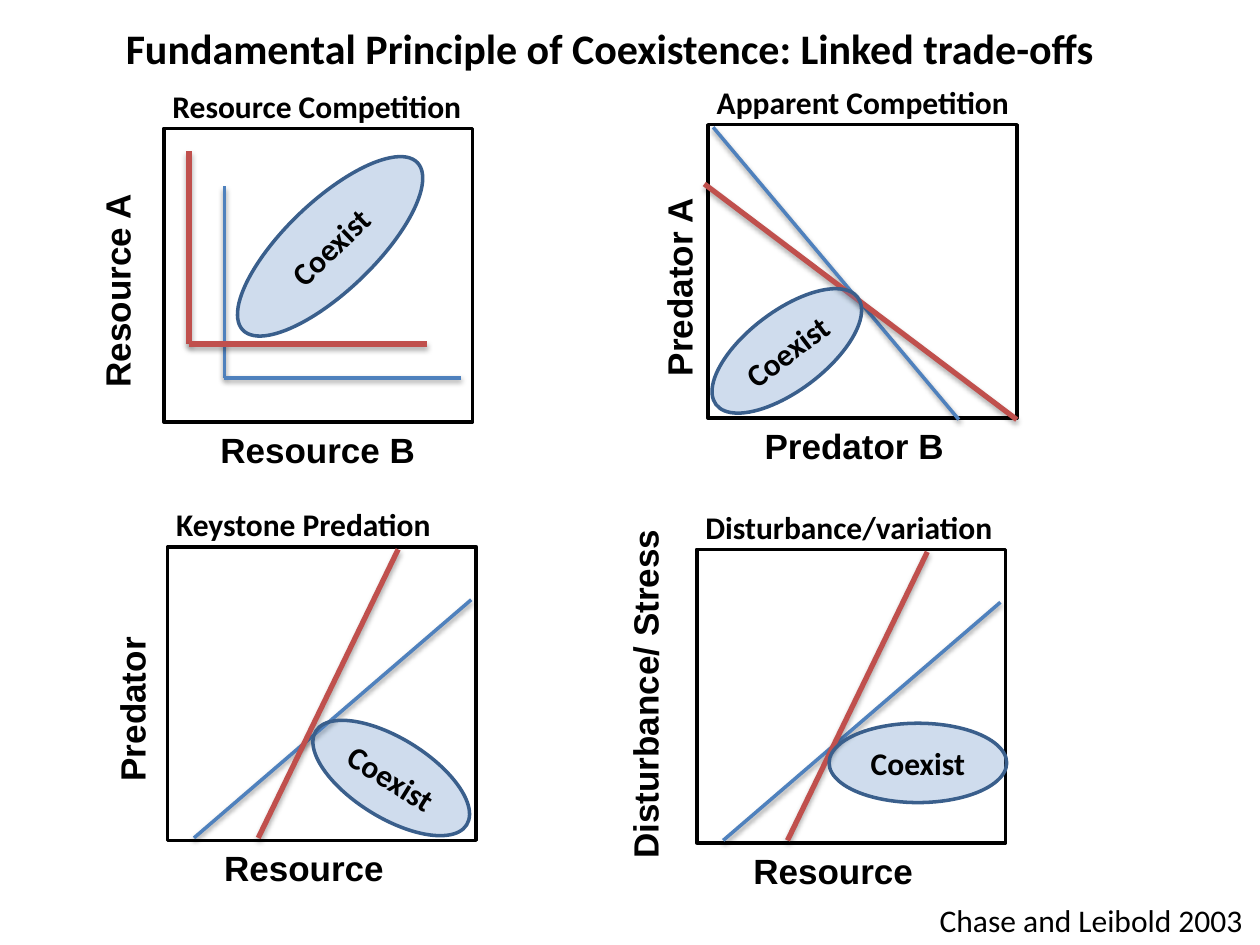
from dataclasses import dataclass

from lxml.etree import SubElement
from pptx import Presentation
from pptx.dml.color import RGBColor
from pptx.enum.shapes import MSO_CONNECTOR, MSO_SHAPE
from pptx.enum.text import MSO_ANCHOR, MSO_AUTO_SIZE, PP_ALIGN
from pptx.oxml.ns import qn
from pptx.util import Inches, Pt

COLORS = {"ink": "000000", "blue": "4F81BD", "red": "C0504D", "outline": "3A5F8C"}
LINE_WIDTH = {"blue": 2, "red": 3}
SHADOW_ALPHA = {"blue": 38000, "red": 35000}
SHADOW_DISTANCE = {"blue": 1.6, "red": 1.8}
FRAME_WIDTH, FRAME_HEIGHT = 2.45, 2.33


@dataclass(frozen=True)
class Isocline:
    color: str
    start: tuple[float, float]
    end: tuple[float, float]


@dataclass(frozen=True)
class Region:
    left: float
    top: float
    rotation: float = 0
    width: float = 1.41
    height: float = 0.63


@dataclass(frozen=True)
class Panel:
    left: float
    top: float
    title: str
    title_width: float
    x_label: str
    x_width: float
    y_label: str
    y_width: float
    y_center: tuple[float, float]
    isoclines: tuple[Isocline, ...]
    region: Region


RISING = (
    Isocline("blue", (2.41, 0.42), (0.21, 2.31)),
    Isocline("red", (0.72, 2.31), (1.83, 0.02)),
)
CROSSING = (
    Isocline("blue", (0.04, 0.02), (1.99, 2.34)),
    Isocline("red", (2.45, 2.34), (-0.03, 0.47)),
)
CORNERS = (
    Isocline("blue", (0.48, 0.46), (0.48, 1.98)),
    Isocline("blue", (2.36, 1.98), (0.48, 1.98)),
    Isocline("red", (0.2, 0.18), (0.2, 1.71)),
    Isocline("red", (2.09, 1.71), (0.2, 1.71)),
)
PANELS = (
    Panel(1.3, 1.02, "Resource Competition", 2.51, "Resource B", 1.75,
          "Resource A", 1.75, (-0.37, 1.28), CORNERS,
          Region(0.36, 0.58, 316.2, 1.92, 0.71)),
    Panel(5.62, 0.99, "Apparent Competition", 2.54, "Predator B", 1.64,
          "Predator A", 1.63, (-0.23, 1.28), CROSSING, Region(-0.08, 1.48, 322.9)),
    Panel(1.33, 4.34, "Keystone Predation", 2.24, "Resource", 1.48,
          "Predator", 1.36, (-0.28, 1.28), RISING, Region(1.07, 1.52, 31.8)),
    Panel(5.53, 4.36, "Disturbance/variation", 2.5, "Resource", 1.48,
          "Disturbance/ Stress", 2.83, (-0.41, 1.14), RISING, Region(1.05, 1.38)),
)


def rgb(name: str) -> RGBColor:
    """Return the named colour."""
    return RGBColor.from_string(COLORS[name])


def write(frame, text: str, *, size: int = 18, font: str = "Calibri",
          bold: bool = True, align=PP_ALIGN.LEFT) -> None:
    """Put formatted text into a text frame."""
    paragraph = frame.paragraphs[0]
    paragraph.alignment = align
    run = paragraph.add_run()
    run.text = text
    run.font.size, run.font.name, run.font.bold = Pt(size), font, bold
    run.font.color.rgb = rgb("ink")


def add_label(slide, text: str, left: float, top: float, width: float,
              height: float = 0.4, *, rotation: float = 0, **style) -> None:
    """Add a one-line text box."""
    label = slide.shapes.add_textbox(Inches(left), Inches(top), Inches(width), Inches(height))
    label.rotation = rotation
    label.text_frame.word_wrap = False
    label.text_frame.auto_size = MSO_AUTO_SIZE.SHAPE_TO_FIT_TEXT
    write(label.text_frame, text, **style)


def add_outlined(slide, preset, left: float, top: float, width: float, height: float,
                 outline: str):
    """Add a shadowless shape with a coloured outline."""
    outlined = slide.shapes.add_shape(
        preset, Inches(left), Inches(top), Inches(width), Inches(height))
    outlined.shadow.inherit = False
    outlined.line.color.rgb = rgb(outline)
    outlined.line.width = Pt(2)
    return outlined


def add_isocline(slide, panel: Panel, isocline: Isocline) -> None:
    """Draw one line with a soft shadow below it."""
    (x1, y1), (x2, y2) = isocline.start, isocline.end
    drawn = slide.shapes.add_connector(
        MSO_CONNECTOR.STRAIGHT, Inches(panel.left + x1), Inches(panel.top + y1),
        Inches(panel.left + x2), Inches(panel.top + y2))
    color = isocline.color
    drawn.line.color.rgb = rgb(color)
    drawn.line.width = Pt(LINE_WIDTH[color])
    effects = SubElement(drawn._element.spPr, qn("a:effectLst"))
    shadow = SubElement(effects, qn("a:outerShdw"), blurRad=str(Pt(3.1)),
                        dist=str(Pt(SHADOW_DISTANCE[color])), dir="5400000",
                        rotWithShape="0")
    tint = SubElement(shadow, qn("a:srgbClr"), val=COLORS["ink"])
    SubElement(tint, qn("a:alpha"), val=str(SHADOW_ALPHA[color]))


def add_region(slide, panel: Panel) -> None:
    """Draw the translucent coexistence ellipse."""
    region = panel.region
    ellipse = add_outlined(slide, MSO_SHAPE.OVAL, panel.left + region.left,
                           panel.top + region.top, region.width, region.height, "outline")
    ellipse.rotation = region.rotation
    ellipse.fill.solid()
    ellipse.fill.fore_color.rgb = rgb("blue")
    tint = ellipse._element.spPr.find(qn("a:solidFill"))[0]
    SubElement(tint, qn("a:alpha"), val="27000")
    ellipse.text_frame.vertical_anchor = MSO_ANCHOR.MIDDLE
    write(ellipse.text_frame, "Coexist", align=PP_ALIGN.CENTER)


def add_panel(slide, panel: Panel) -> None:
    """Draw one graph with its title and axis labels."""
    frame = add_outlined(slide, MSO_SHAPE.RECTANGLE, panel.left, panel.top,
                         FRAME_WIDTH, FRAME_HEIGHT, "ink")
    frame.fill.background()
    axis_style = {"size": 20, "font": "Arial"}
    axis_height = 0.44
    add_label(slide, panel.x_label, panel.left + 0.35, panel.top + FRAME_HEIGHT,
              panel.x_width, axis_height, **axis_style)
    center_x, center_y = panel.y_center
    add_label(slide, panel.y_label, panel.left + center_x - panel.y_width / 2,
              panel.top + center_y - axis_height / 2, panel.y_width, axis_height,
              rotation=270, **axis_style)
    for isocline in panel.isoclines:
        add_isocline(slide, panel, isocline)
    add_region(slide, panel)
    add_label(slide, panel.title, panel.left - 0.03, panel.top - 0.38, panel.title_width)


def main() -> None:
    """Build and save the slide."""
    deck = Presentation()
    deck.slide_width, deck.slide_height = Inches(10), Inches(7.5)
    slide = deck.slides.add_slide(deck.slide_layouts[6])
    for panel in PANELS:
        add_panel(slide, panel)
    add_label(slide, "Chase and Leibold 2003", 7.36, 7.1, 2.64, bold=False)
    add_label(slide, "Fundamental Principle of Coexistence: Linked trade-offs",
              0.9, 0.13, 7.97, 0.5, size=24)
    deck.save("out.pptx")


if __name__ == "__main__":
    main()
